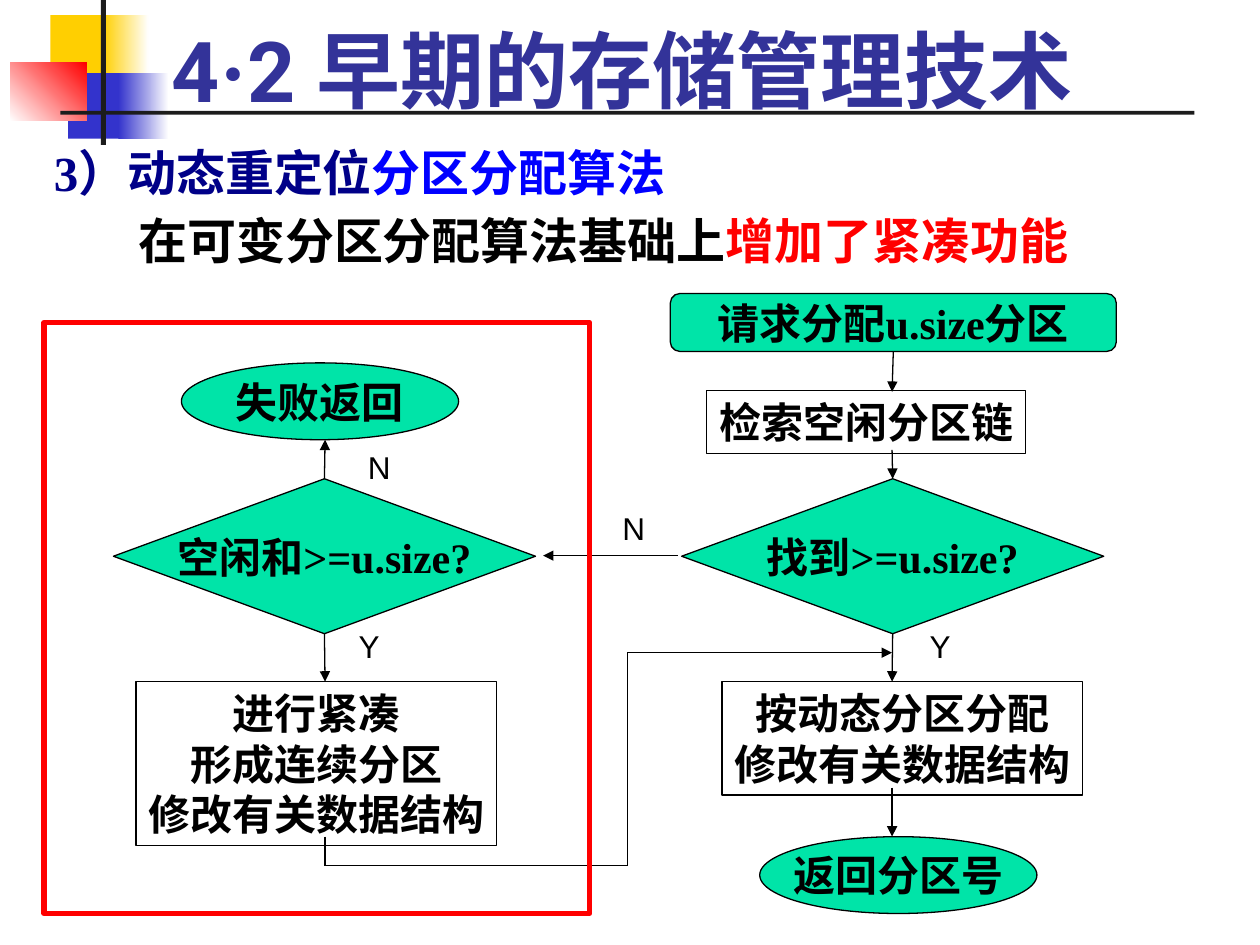
from lxml.etree import SubElement
from pptx import Presentation
from pptx.dml.color import RGBColor
from pptx.enum.shapes import MSO_CONNECTOR as CONN, MSO_SHAPE as SHAPE
from pptx.enum.text import MSO_ANCHOR as ANCHOR, PP_ALIGN as ALIGN
from pptx.oxml.ns import qn
from pptx.util import Inches, Pt

COLORS = {k: RGBColor.from_string(v) for k, v in {
    "yellow": "FFCF01", "blue": "3333CC", "red": "FF0000", "white": "FFFFFF",
    "bar": "1C1C1C", "title": "333399", "navy": "000088", "link": "0000FF",
    "black": "000000", "green": "00E4A8"}.items()}
SERIF = "Times New Roman"

prs = Presentation()
prs.slide_width, prs.slide_height = Inches(10), Inches(7.5)
s = prs.slides.add_slide(prs.slide_layouts[6])
CELL = prs.slide_width / 100  # the slide is a grid of 100 columns by 75 rows


def grid(*cells):
    return [round(c * CELL) for c in cells]


def add_block(kind, at, fill=None, line=None, width=0.75):
    """Add a shape; a pair of colours as fill makes a gradient."""
    sp = s.shapes.add_shape(kind, *grid(*at))
    sp.shadow.inherit = False
    if isinstance(fill, tuple):
        sp.fill.gradient()
        for stop, color in zip(sp.fill.gradient_stops, fill):
            stop.color.rgb = COLORS[color]
        sp.fill.gradient_angle = 0
    elif fill:
        sp.fill.solid()
        sp.fill.fore_color.rgb = COLORS[fill]
    else:
        sp.fill.background()
    if line:
        sp.line.color.rgb = COLORS[line]
        sp.line.width = Pt(width)
    else:
        sp.line.fill.background()
    return sp


# Corner ornament
for at, fill in [
    ((4, 1.2, 4.8, 5.2), "yellow"),
    ((8.2, 1.2, 3.6, 5.2), ("yellow", "white")),
    ((5.4, 5.8, 4.6, 5.2), "blue"),
    ((9.4, 5.8, 4, 5.2), ("blue", "white")),
    ((0.8, 5, 6.1, 4.6), ("white", "red")),
    ((8, 0, 0.4, 11.5), "bar"),
    ((4.8, 8.8, 90, 0.3), "bar"),
]:
    sp = add_block(SHAPE.RECTANGLE, at, fill)
    if fill == ("white", "red"):
        sp.fill.gradient_angle = 45

# Title and introduction: each paragraph is a list of (text, font, colour)
for at, size, anchor, paragraphs in [
    ((12.6, 0.8, 85.7, 9.2), 48, ANCHOR.BOTTOM, [
        [("4", "Roboto", "title"), ("·", SERIF, "title"),
         ("2 早期的存储管理技术", "Roboto", "title")]]),
    ((3.3, 10.8, 95, 12.5), 28, ANCHOR.TOP, [
        [("3）动态重定位", SERIF, "navy"), ("分区分配算法", SERIF, "link")],
        [("\t在可变分区分配算法基础上", SERIF, "black"),
         ("增加了紧凑功能", SERIF, "red")]]),
]:
    tf = s.shapes.add_textbox(*grid(*at)).text_frame
    tf.word_wrap = True
    tf.vertical_anchor = anchor
    for i, runs in enumerate(paragraphs):
        p = tf.add_paragraph() if i else tf.paragraphs[0]
        p.font.size, p.font.bold = Pt(size), True
        if anchor == ANCHOR.TOP:
            p.space_before = Pt(5.2)
            indent = Inches(0.67)
            p._p.get_or_add_pPr().set("marL", str(indent))
            p._p.get_or_add_pPr().set("indent", str(-indent))
        for text, font, color in runs:
            r = p.add_run()
            r.text = text
            r.font.name = font
            r.font.color.rgb = COLORS[color]

# Flowchart steps
steps = {}
for name, kind, at, fill, lines in [
    ("allocate", SHAPE.RECTANGLE, (57.3, 54.1, 28.6, 9), None,
     ["按动态分区分配", "修改有关数据结构"]),
    ("compact", SHAPE.RECTANGLE, (10.8, 54.1, 28.6, 13), None,
     ["进行紧凑", "形成连续分区", "修改有关数据结构"]),
    ("search", SHAPE.RECTANGLE, (56.1, 31, 25.3, 5), None, ["检索空闲分区链"]),
    ("enough", SHAPE.FLOWCHART_DECISION, (9, 38, 33.5, 12.3), "green",
     ["空闲和>=u.size?"]),
    ("found", SHAPE.FLOWCHART_DECISION, (54.1, 38, 33.5, 12.3), "green",
     ["找到>=u.size?"]),
    ("done", SHAPE.OVAL, (60.3, 66.4, 22, 6.1), "green", ["返回分区号"]),
    ("fail", SHAPE.OVAL, (14.4, 28.8, 22, 6.1), "green", ["失败返回"]),
    ("request", SHAPE.FLOWCHART_ALTERNATE_PROCESS, (53.2, 23.3, 35.4, 4.6),
     "green", ["请求分配u.size分区"]),
]:
    sp = steps[name] = add_block(kind, at, fill, "black")
    tf = sp.text_frame
    tf.word_wrap = False
    tf.vertical_anchor = ANCHOR.MIDDLE if fill else ANCHOR.TOP
    for i, line in enumerate(lines):
        p = tf.add_paragraph() if i else tf.paragraphs[0]
        p.text = line
        p.alignment = ALIGN.LEFT if name == "search" else ALIGN.CENTER
        p.font.name, p.font.size, p.font.bold = SERIF, Pt(24), True
        p.font.color.rgb = COLORS["black"]

# Flow lines: ends, arrowhead, joined step and side at the start and at the end
LEFT, RIGHT, TURN = 25.8, 70.8, 49.8
for ends, arrow, begin, end in [
    ((RIGHT, 27.9, RIGHT, 31.1), True, ("request", 2), None),
    ((RIGHT, 35.7, RIGHT, 38), True, None, ("found", 0)),
    ((53.8, 44.1, 43.1, 44.1), True, None, None),
    ((LEFT, 38, LEFT, 34.9), True, ("enough", 0), None),
    ((LEFT, 50.2, LEFT, 54.1), True, ("enough", 2), None),
    ((TURN, 51.8, RIGHT, 51.8), True, None, None),
    ((RIGHT, 50.2, RIGHT, 54.1), True, ("found", 2), None),
    ((RIGHT, 62.5, RIGHT, 66.4), True, None, None),
    ((LEFT, 66.4, LEFT, 68.7), False, None, None),
    ((LEFT, 68.7, TURN, 68.7), False, None, None),
    ((TURN, 51.8, TURN, 68.7), False, None, None),
]:
    cx = s.shapes.add_connector(CONN.STRAIGHT, *grid(*ends))
    if begin:
        cx.begin_connect(steps[begin[0]], begin[1])
    if end:
        cx.end_connect(steps[end[0]], end[1])
    cx.line.color.rgb = COLORS["black"]
    cx.line.width = Pt(0.75)
    if arrow:
        SubElement(cx.line._get_or_add_ln(), qn("a:tailEnd"), type="triangle")
    SubElement(cx._element.spPr, qn("a:effectLst"))

# Branch labels
for text, x, y, align in [
    ("Y", 72.8, 49.3, ALIGN.LEFT), ("Y", 27.2, 49.3, ALIGN.CENTER),
    ("N", 48.4, 39.9, ALIGN.LEFT), ("N", 28, 35.1, ALIGN.CENTER),
]:
    tf = s.shapes.add_textbox(*grid(x, y, 4.2, 4)).text_frame
    tf.word_wrap = True
    p = tf.paragraphs[0]
    p.text, p.alignment = text, align
    p.font.name, p.font.size = "Arial", Pt(18)
    p.font.color.rgb = COLORS["black"]

# Frame around the compaction branch
add_block(SHAPE.RECTANGLE, (3.5, 25.6, 43.3, 46.9), line="red", width=3)

prs.save("out.pptx")
